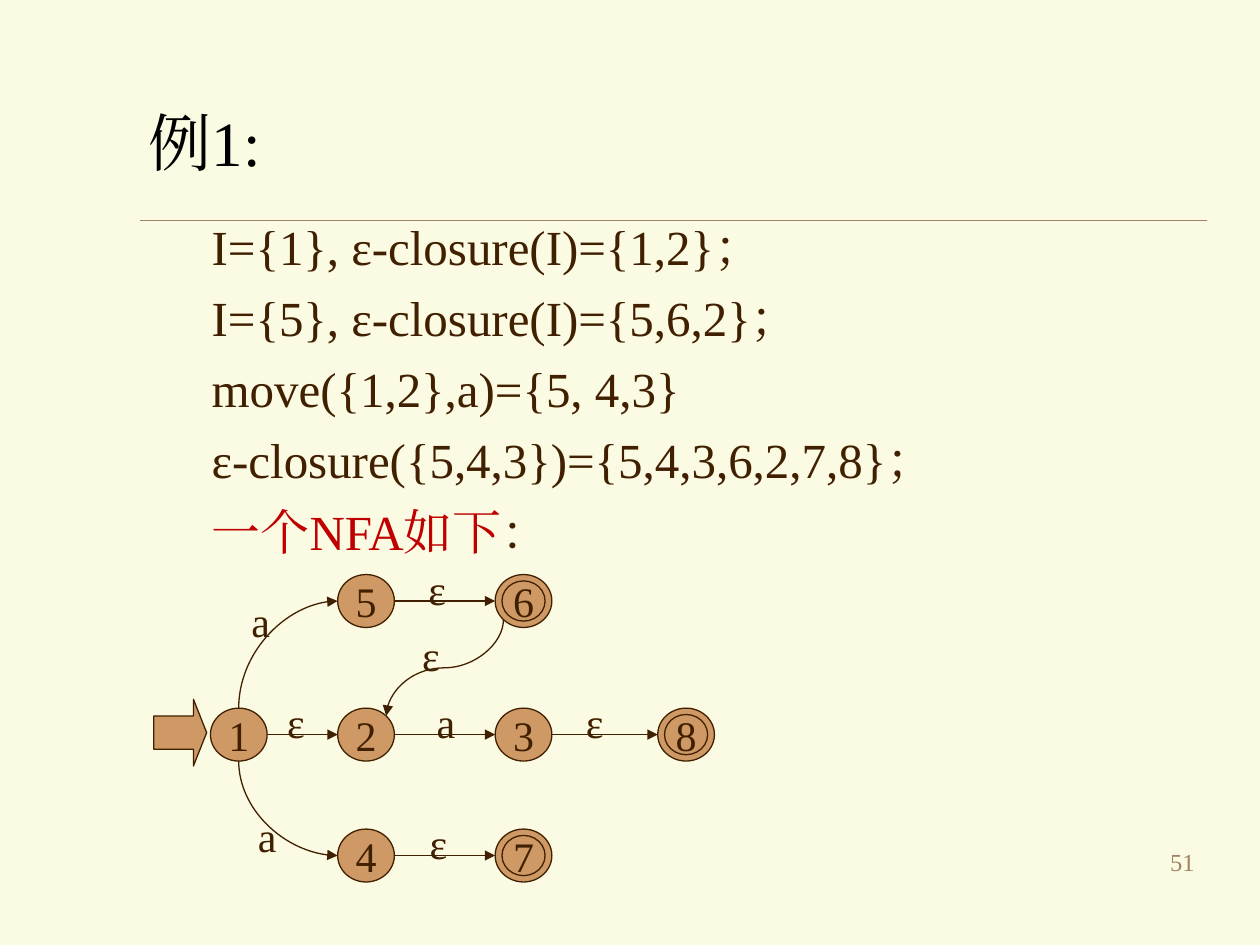
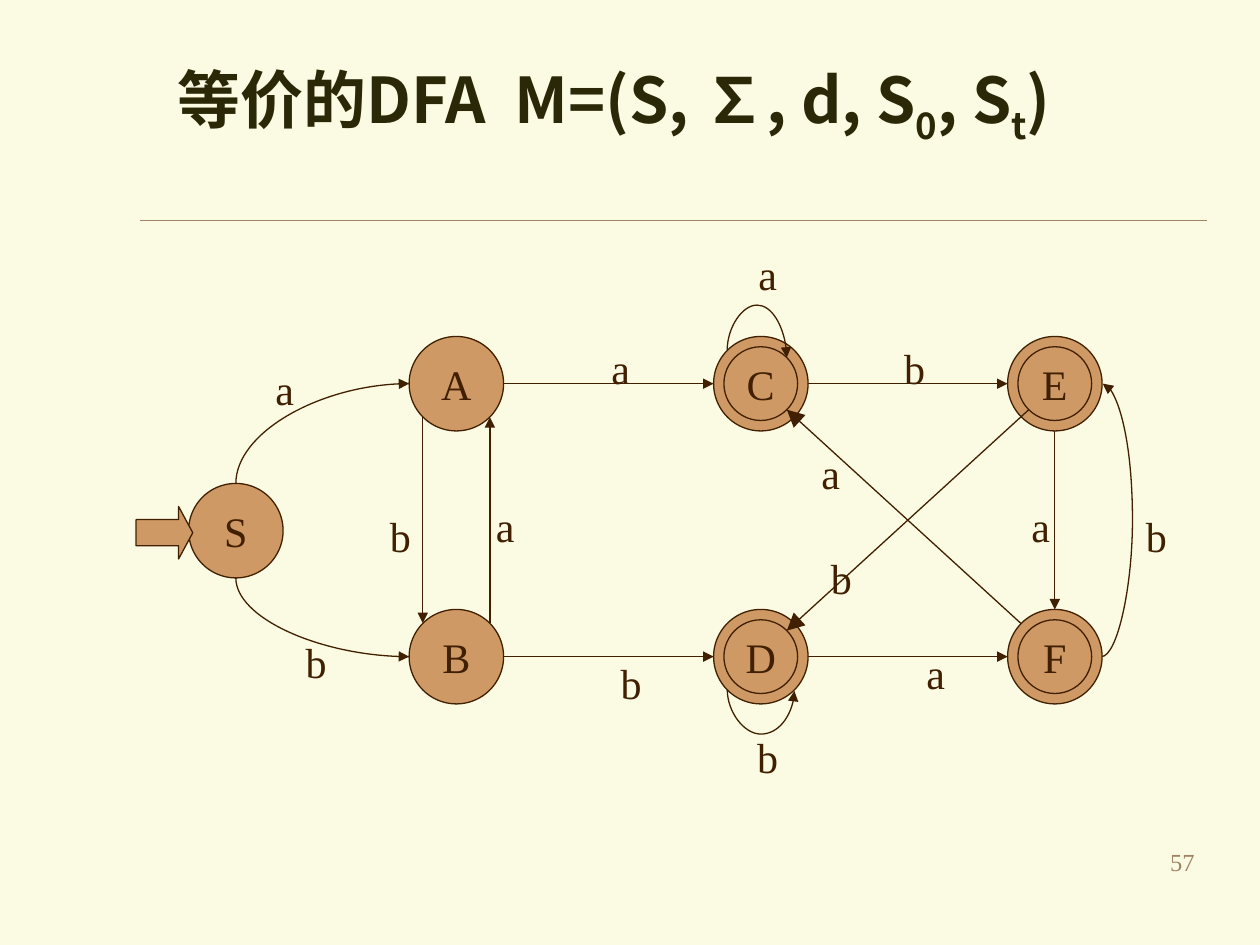
from lxml.etree import SubElement
from pptx import Presentation
from pptx.dml.color import RGBColor
from pptx.enum.shapes import MSO_CONNECTOR as CXN, MSO_SHAPE as SHAPE
from pptx.enum.text import MSO_ANCHOR as ANCHOR, MSO_AUTO_SIZE as FIT, PP_ALIGN as ALIGN
from pptx.oxml.ns import qn
from pptx.util import Inches, Pt

SERIF, SANS = "Times New Roman", "Noto Sans CJK JP"
CREAM, BROWN, TAN, MUTED = "FBFAE2", "402000", "CE9964", "A08366"
BLACK, OLIVE, RED = "000000", "2A2806", "C00000"
W, H = 10, 7.5
LEFT, WIDTH = 1.08, 8.5
DIAG = 0.71  # share of the radius for a point at 45 degrees


def rgb(value):
    return RGBColor.from_string(value)


def add_run(p, text, size, color=BROWN, font=SERIF, bold=False, baseline=0):
    r = p.add_run()
    r.text = text
    r.font.size, r.font.bold, r.font.name = Pt(size), bold, font
    r.font.color.rgb = rgb(color)
    rPr = r.font._element
    SubElement(rPr, qn("a:ea")).set("typeface", font)
    if baseline:
        rPr.set("baseline", str(baseline * 1000))


def place(sp, left, top, width, height):
    sp.left, sp.top = Inches(left), Inches(top)
    sp.width, sp.height = Inches(width), Inches(height)


def center_text(sp, text):
    tf = sp.text_frame
    tf.margin_left = tf.margin_right = tf.margin_top = tf.margin_bottom = 0
    tf.word_wrap, tf.vertical_anchor = False, ANCHOR.MIDDLE
    p = tf.paragraphs[0]
    p.alignment = ALIGN.CENTER
    add_run(p, text, 24)


def add_line(slide, kind, box, color=BROWN, width=0.75, head=None):
    c = slide.shapes.add_connector(kind, *[Inches(v) for v in box])
    c.line.color.rgb, c.line.width = rgb(color), Pt(width)
    if head:
        tail = SubElement(c.line._get_or_add_ln(), qn("a:tailEnd"))
        for key, value in (("type", "triangle"), ("w", head), ("len", head)):
            tail.set(key, value)
    SubElement(c._element.spPr, qn("a:effectLst"))
    return c


class Diagram:
    """State diagram on a grid of square cells inside a box."""

    def __init__(self, slide, left, top, cell, node_size, inner):
        self.slide, self.left, self.top, self.cell = slide, left, top, cell
        self.node_size, self.inner = node_size, inner
        self.centers = {}

    def xy(self, col, row):
        return self.left + col * self.cell, self.top + row * self.cell

    def shape(self, kind, x, y, w, h):
        sp = self.slide.shapes.add_shape(kind, *[Inches(v) for v in (x, y, w, h)])
        sp.shadow.inherit = False
        sp.fill.solid()
        sp.fill.fore_color.rgb = rgb(TAN)
        sp.line.color.rgb, sp.line.width = rgb(BROWN), Pt(0.75)
        return sp

    def node(self, name, col, row, final=False):
        x, y = self.centers[name] = self.xy(col, row)
        for share in (1, self.inner) if final else (1,):
            w, h = [v * share for v in self.node_size]
            sp = self.shape(SHAPE.OVAL, x - w / 2, y - h / 2, w, h)
        center_text(sp, name)

    def entry(self, col, row, cols, rows, adj):
        sp = self.shape(SHAPE.RIGHT_ARROW, *self.xy(col, row),
                        cols * self.cell, rows * self.cell)
        sp.adjustments[1] = adj

    def point(self, name, ux, uy):
        """Point at (ux, uy) radii from the centre of a state."""
        (x, y), (w, h) = self.centers[name], self.node_size
        return x + ux * w / 2, y + uy * h / 2

    def edge(self, a, b, start=(1, 0), end=(-1, 0), head="med"):
        add_line(self.slide, CXN.STRAIGHT,
                 self.point(a, *start) + self.point(b, *end), head=head)

    def curve(self, a, b, start, end, bend=None, quarter=False, vertical=True):
        """Curve leaving along one axis; bend is its reach in cells."""
        (x1, y1), (x2, y2) = self.point(a, *start), self.point(b, *end)
        dx, dy = x2 - x1, y2 - y1
        along, across = (dy, -dx) if vertical else (dx, dy)
        if abs(along) < 0.01:
            along = 0.01
        w, h = abs(along), abs(across)
        left, top = (x1 + x2 - w) / 2, (y1 + y2 - h) / 2
        c = add_line(self.slide, CXN.CURVE, (left, top, left + w, top + h), head="med")
        xfrm = c._element.spPr.find(qn("a:xfrm"))
        if vertical:
            xfrm.set("rot", str(90 * 60000))
        for key, flipped in (("flipH", along < 0), ("flipV", across < 0)):
            if flipped:
                xfrm.set(key, "1")
        geom = c._element.spPr.find(qn("a:prstGeom"))
        if quarter:
            geom.set("prst", "curvedConnector2")
        elif bend:
            gd = SubElement(geom.get_or_add_avLst(), qn("a:gd"))
            gd.set("name", "adj1")
            gd.set("fmla", f"val {round(bend * self.cell / along * 100000)}")

    def labels(self, spots):
        for text, col, row in spots:
            x, y = self.xy(col, row)
            center_text(self.slide.shapes.add_textbox(
                Inches(x), Inches(y), Inches(0.36), Inches(0.5)), text)


def new_slide(prs, layout, number):
    slide = prs.slides.add_slide(prs.slide_layouts[layout])
    # Rule below the title
    add_line(slide, CXN.STRAIGHT, (1.11, 1.75, LEFT + WIDTH, 1.75), MUTED, 0.25)
    # Title
    title = slide.shapes.title
    place(title, LEFT, H / 15, WIDTH, H / 6)
    tf = title.text_frame
    tf.auto_size, tf.word_wrap, tf.vertical_anchor = FIT.NONE, True, ANCHOR.MIDDLE
    p = tf.paragraphs[0]
    p.alignment = ALIGN.LEFT
    # Page number
    box = slide.shapes.add_textbox(Inches(W * 0.75), Inches(6.67), Inches(2.08), Inches(0.5))
    box.text_frame.word_wrap = True
    num = box.text_frame.paragraphs[0]
    num.alignment = ALIGN.RIGHT
    add_run(num, number, 14, MUTED)
    return slide, tf


def fill_body(body, lines):
    place(body, LEFT, 1.67, WIDTH, 5.5)
    tf = body.text_frame
    tf.auto_size = FIT.NONE
    for i, runs in enumerate(lines):
        p = tf.add_paragraph() if i else tf.paragraphs[0]
        p.level, p.space_before = 1, Pt(7)
        pPr = p._p.get_or_add_pPr()
        pPr.set("marL", str(Inches(0.81)))
        pPr.set("indent", str(Inches(-0.31)))
        SubElement(pPr, qn("a:buNone"))
        for text, color in runs:
            add_run(p, text, 28, color)


def draw_nfa(slide):
    d = Diagram(slide, 1.22, 4.42, 0.1, (0.45, 0.42), 0.76)
    cols, rows = (6.75, 16.85, 29.35, 42.25), (3.5, 14.1, 23.7)
    for name, c, r, final in (("1", 0, 1, False), ("2", 1, 1, False), ("5", 1, 0, False),
                              ("3", 2, 1, False), ("4", 1, 2, False), ("6", 2, 0, True),
                              ("8", 3, 1, True), ("7", 2, 2, True)):
        d.node(name, cols[c], rows[r], final)
    for a, b in ("47", "23", "56", "12", "38"):
        d.edge(a, b)
    d.curve("6", "2", (-DIAG, DIAG), (DIAG, -DIAG))
    d.curve("1", "5", (0, -1), (-1, 0), quarter=True)
    d.curve("1", "4", (0, 1), (-1, 0), quarter=True)
    d.labels([("a", 6.7, 2.6), ("a", 7.2, 19.6), ("ε", 9.5, 10.6), ("ε", 20.2, 5.3),
              ("ε", 20.7, 0), ("ε", 33.2, 10.6), ("ε", 20.8, 20.2), ("a", 21.4, 10.6)])
    d.entry(0, 11.3, 4.2, 5.3, 0.25)


def draw_dfa(slide):
    d = Diagram(slide, LEFT, 1.92, 1 / 12, (0.75, 0.75), 0.78)
    cols, rows = (9.5, 30.5, 59.5, 87.5), (13.5, 27.5, 39.5)
    for name, c, r in (("C", 2, 0), ("D", 2, 2), ("B", 1, 2),
                       ("A", 1, 0), ("E", 3, 0), ("S", 0, 1)):
        d.node(name, cols[c], rows[r], name in "CDE")
    d.centers["F"] = d.xy(cols[3], rows[2])
    # Transitions
    for a, b in ("AC", "BD", "DF", "CE"):
        d.edge(a, b)
    d.edge("B", "A", (DIAG, -DIAG), (DIAG, DIAG))
    d.edge("A", "B", (-DIAG, DIAG), (-DIAG, -DIAG))
    d.edge("E", "F", (0, 1), (0, -1))
    d.edge("F", "C", (-0.55, -0.55), (0.55, 0.55), "lg")
    d.edge("E", "D", (-0.55, 0.55), (0.55, -0.55), "lg")
    d.curve("S", "A", (0, -1), (-1, 0), quarter=True)
    d.curve("S", "B", (0, 1), (-1, 0), quarter=True)
    d.curve("F", "E", (1, 0), (1, 0), bend=3, vertical=False)
    d.curve("C", "C", (-DIAG, -DIAG), (0.55, -0.55), bend=-4.3)
    d.curve("D", "D", (-DIAG, DIAG), (DIAG, DIAG), bend=4.3)
    d.labels([("a", 58, 0), ("b", 95, 25), ("a", 12, 11), ("a", 33, 24), ("a", 44, 9),
              ("a", 84, 24), ("a", 74, 38), ("b", 15, 37), ("b", 23, 25), ("b", 45, 39),
              ("b", 72, 9), ("b", 58, 46), ("a", 64, 19), ("b", 65, 29)])
    d.entry(0, 25.2, 5.4, 5, 0.27)
    # F covers the start of its diagonal
    d.node("F", cols[3], rows[2], True)


def nfa_slide(prs):
    slide, tf = new_slide(prs, 1, "51")
    add_run(tf.paragraphs[0], "例1:", 36, BLACK)
    fill_body(slide.placeholders[1], [
        [("I={1}, ε-closure(I)={1,2}；", BROWN)],
        [("I={5}, ε-closure(I)={5,6,2}；", BROWN)],
        [("move({1,2},a)={5, 4,3}", BROWN)],
        [("ε-closure({5,4,3})={5,4,3,6,2,7,8}；", BROWN)],
        [("一个NFA如下", RED), ("：", BROWN)],
    ])
    draw_nfa(slide)


def dfa_slide(prs):
    slide, tf = new_slide(prs, 5, "57")
    tf.margin_left, tf.margin_bottom = Inches(0.33), Inches(0.65)
    for text, baseline in (("等价的", 0), ("DFA  M=(S, ∑, d, S", 0), ("0", -25),
                           (", S", 0), ("t", -25), (")", 0)):
        add_run(tf.paragraphs[0], text, 36, OLIVE, SANS, True, baseline)
    draw_dfa(slide)


def main():
    prs = Presentation()
    prs.slide_width, prs.slide_height = Inches(W), Inches(H)
    fill = prs.slide_master.background.fill
    fill.solid()
    fill.fore_color.rgb = rgb(CREAM)
    nfa_slide(prs)
    dfa_slide(prs)
    prs.save("out.pptx")


if __name__ == "__main__":
    main()
